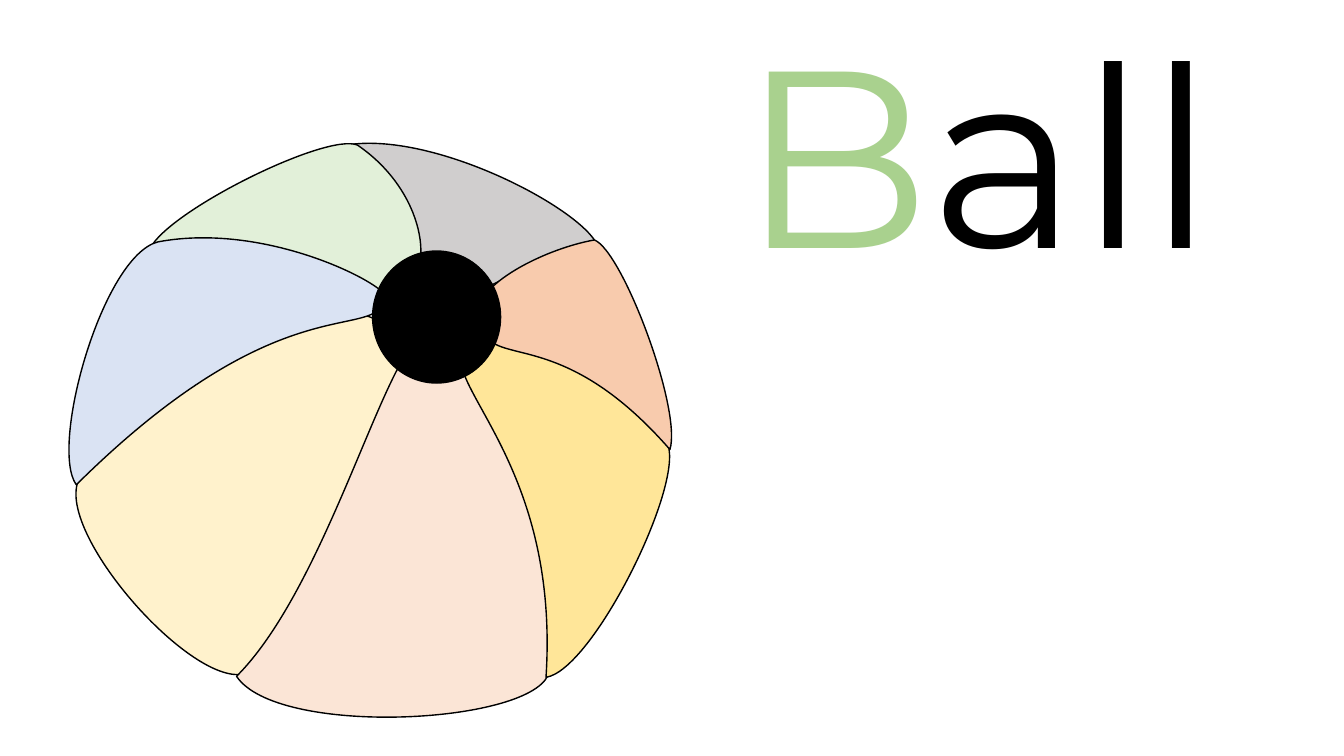
from collections import namedtuple
from math import cos, radians, sin

from lxml import etree
from pptx import Presentation
from pptx.dml.color import RGBColor
from pptx.enum.shapes import MSO_SHAPE
from pptx.enum.text import MSO_ANCHOR, MSO_AUTO_SIZE, PP_ALIGN
from pptx.oxml.ns import qn
from pptx.util import Inches, Pt

OVAL = MSO_SHAPE.OVAL
LEFT, TOP = PP_ALIGN.LEFT, MSO_ANCHOR.TOP
GROW = MSO_AUTO_SIZE.SHAPE_TO_FIT_TEXT

Box = namedtuple("Box", "left top width height")
Panel = namedtuple("Panel", "colour frame angle start curves")

SLIDE_WIDTH, SLIDE_HEIGHT = Inches(13.333), Inches(7.5)
COLUMNS, ROWS = 160, 90
BALL_UNITS = 600  # the ball's box is a square grid of this many units


class Theme:
    font = "Montserrat"
    word_size = Pt(180)
    outline_width = Pt(1)
    initial = "A9D18E"
    ink = "000000"
    grey, cream, pink, gold = "D0CECE", "FFF2CC", "FBE5D6", "FFE699"
    orange, green, blue = "F8CBAD", "E2F0D9", "DAE3F3"


# Each curve is two control points and an end point, as seen on the ball.
PANELS = [
    Panel(Theme.grey, Box(273, 9, 241, 143), 228.1, (526, 123), [
        ((509, 86), (362, 9), (276, 24)),
        ((357, 73), (332, 167), (380, 150)),
        ((420, 193), (428, 136), (526, 123))]),
    Panel(Theme.cream, Box(69, 167, 260, 367), 46.7, (11, 357), [
        ((-11, 412), (131, 570), (180, 547)),
        ((222, 504), (390, 222), (311, 216)),
        ((323, 131), (32, 301), (11, 357))]),
    Panel(Theme.pink, Box(182, 212, 311, 383), 5.3, (168, 551), [
        ((208, 611), (455, 599), (477, 550)),
        ((509, 448), (413, 199), (368, 223)),
        ((332, 156), (271, 448), (168, 551))]),
    Panel(Theme.gold, Box(366, 191, 230, 326), 325.9, (475, 552), [
        ((521, 545), (611, 364), (596, 321)),
        ((539, 256), (411, 179), (401, 215)),
        ((351, 251), (490, 323), (475, 552))]),
    Panel(Theme.orange, Box(400, 126, 208, 191), 270, (598, 326), [
        ((610, 286), (551, 129), (523, 118)),
        ((468, 128), (396, 168), (411, 195)),
        ((412, 253), (482, 193), (598, 326))]),
    Panel(Theme.green, Box(122, 14, 220, 210), 133.7, (82, 127), [
        ((100, 89), (258, 11), (288, 24)),
        ((357, 71), (364, 153), (334, 162)),
        ((292, 203), (277, 94), (82, 127))]),
    Panel(Theme.blue, Box(41, 55, 225, 337), 80.7, (9, 361), [
        ((-18, 323), (35, 134), (90, 120)),
        ((201, 99), (323, 166), (316, 176)),
        ((304, 221), (214, 158), (9, 361))]),
]
HUB = Box(303, 129, 127, 131)


def grid_box(column, row, columns, rows):
    return Box(round(SLIDE_WIDTH * column / COLUMNS), round(SLIDE_HEIGHT * row / ROWS),
               round(SLIDE_WIDTH * columns / COLUMNS), round(SLIDE_HEIGHT * rows / ROWS))


def inner_box(box, part):
    """Turn a part given in ball units into a box on the slide."""
    x_unit, y_unit = box.width / BALL_UNITS, box.height / BALL_UNITS
    return Box(round(box.left + part.left * x_unit), round(box.top + part.top * y_unit),
               round(part.width * x_unit), round(part.height * y_unit))


def apply_format(target, values):
    for attribute, value in values.items():
        setattr(target, attribute, value)


def paint(shape, colour):
    shape.shadow.inherit = False
    shape.fill.solid()
    shape.fill.fore_color.rgb = RGBColor.from_string(colour)
    shape.line.color.rgb = RGBColor.from_string(Theme.ink)
    shape.line.width = Theme.outline_width


def unrotate(point, panel):
    """Return the point inside the panel's frame before the frame is turned."""
    frame, turn = panel.frame, radians(panel.angle)
    x = point[0] - frame.left - frame.width / 2
    y = point[1] - frame.top - frame.height / 2
    return (x * cos(turn) + y * sin(turn) + frame.width / 2,
            y * cos(turn) - x * sin(turn) + frame.height / 2)


def draw_panel(shapes, box, panel):
    left, top, width, height = inner_box(box, panel.frame)
    right, bottom = left + width, top + height
    frame = shapes.build_freeform(left, top)
    frame.add_line_segments([(right, top), (right, bottom), (left, bottom)])
    shape = frame.convert_to_shape()
    shape.rotation = panel.angle

    outline = shape._element.find(".//" + qn("a:path"))
    for segment in list(outline):
        outline.remove(segment)
    segments = [("a:moveTo", [panel.start])]
    segments += [("a:cubicBezTo", curve) for curve in panel.curves]
    for tag, points in segments:
        segment = etree.SubElement(outline, qn(tag))
        for point in points:
            x, y = unrotate(point, panel)
            etree.SubElement(segment, qn("a:pt"), {
                "x": str(round(x * box.width / BALL_UNITS)),
                "y": str(round(y * box.height / BALL_UNITS))})
    etree.SubElement(outline, qn("a:close"))
    paint(shape, panel.colour)


def draw_ball(slide, box):
    ball = slide.shapes.add_group_shape().shapes
    for panel in PANELS:
        draw_panel(ball, box, panel)
    paint(ball.add_shape(OVAL, *inner_box(box, HUB)), Theme.ink)


def write_word(slide, box):
    title = slide.shapes.title
    apply_format(title, box._asdict())
    apply_format(title.text_frame, {
        "word_wrap": True, "auto_size": GROW, "vertical_anchor": TOP})
    word = title.text_frame.paragraphs[0]
    word.alignment = LEFT
    for letters, colour in (("B", Theme.initial), ("all", Theme.ink)):
        run = word.add_run()
        run.text = letters
        apply_format(run.font, {"name": Theme.font, "size": Theme.word_size})
        run.font.color.rgb = RGBColor.from_string(colour)


def main():
    deck = Presentation()
    apply_format(deck, {"slide_width": SLIDE_WIDTH, "slide_height": SLIDE_HEIGHT})
    slide = deck.slides.add_slide(deck.slide_layouts.get_by_name("Title Only"))
    write_word(slide, grid_box(87, -1, 66, 37.5))
    draw_ball(slide, grid_box(8, 14.4, 72, 72))
    deck.save("out.pptx")


if __name__ == "__main__":
    main()
